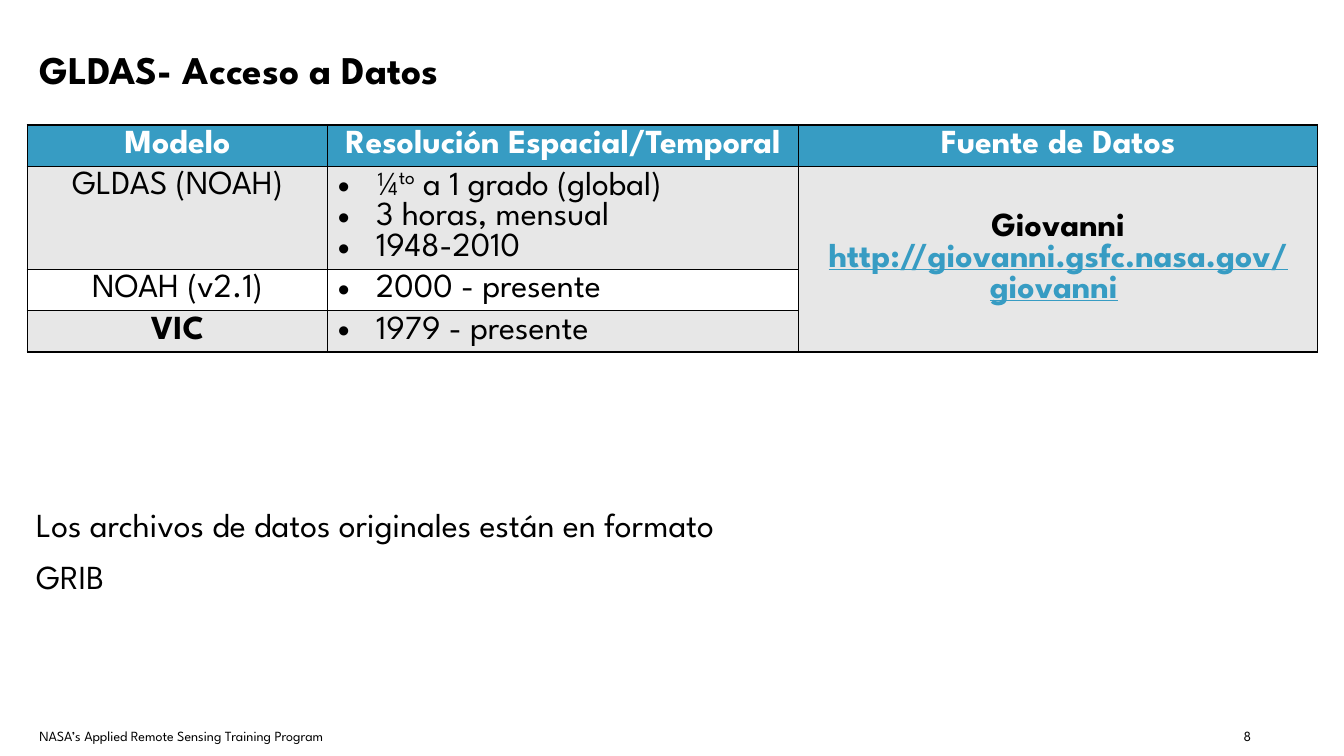
"""Build the GLDAS data access slide."""
from dataclasses import dataclass, field

from lxml import etree
from pptx import Presentation
from pptx.dml.color import RGBColor
from pptx.enum.text import MSO_ANCHOR, MSO_AUTO_SIZE, PP_ALIGN
from pptx.oxml.ns import qn
from pptx.util import Emu, Inches, Pt

CENTER, LEFT, RIGHT = PP_ALIGN.CENTER, PP_ALIGN.LEFT, PP_ALIGN.RIGHT
TOP, MIDDLE = MSO_ANCHOR.TOP, MSO_ANCHOR.MIDDLE
NO_AUTOFIT = MSO_AUTO_SIZE.NONE
WIDTH, HEIGHT = Inches(13.33), Inches(7.5)
FONT = "League Spartan"
BLACK, WHITE, BLUE, GRAY = "000000", "FFFFFF", "379CC3", "E7E7E7"
LOOSE = 1.3
INDENT = Inches(0.38)
WIDE_INSETS = (0.13, 0.07)
TABLE_LEFT, TABLE_TOP = 2.03, 16.53
COLUMN_SHARES = (22.36, 35.03, 38.63)
ROW_SHARES = (5.47, 13.6, 5.47, 5.47)


@dataclass
class Run:
    text: str
    color: str = BLACK
    bold: bool = False
    underline: bool = False
    raised: bool = False


@dataclass
class Entry:
    row: int
    column: int
    lines: list[list[Run]]
    align: PP_ALIGN = CENTER
    anchor: MSO_ANCHOR = TOP
    bullets: bool = False


@dataclass
class Label:
    text: str
    box: tuple[float, float, float, float]
    size: float = 10
    align: PP_ALIGN = LEFT
    insets: tuple[float, float] = field(default=WIDE_INSETS)


HEADERS = ("Modelo", "Resolución Espacial/Temporal", "Fuente de Datos")
ENTRIES = [
    *(Entry(0, column, [[Run(text, WHITE, True)]], anchor=MIDDLE)
      for column, text in enumerate(HEADERS)),
    Entry(1, 0, [[Run("GLDAS (NOAH)")]]),
    Entry(1, 1, [
        [Run("¼"), Run("to", raised=True), Run(" a 1 grado (global)")],
        [Run("3 horas, mensual")],
        [Run("1948-2010")],
    ], LEFT, bullets=True),
    Entry(1, 2, [
        [Run("Giovanni", bold=True)],
        [Run("http://giovanni.gsfc.nasa.gov/giovanni", BLUE, True, True), Run(" ", bold=True)],
    ], anchor=MIDDLE),
    Entry(2, 0, [[Run("NOAH (v2.1)")]]),
    Entry(2, 1, [[Run("2000 - presente")]], LEFT, bullets=True),
    Entry(3, 0, [[Run("VIC", bold=True)]]),
    Entry(3, 1, [[Run("1979 - presente")]], LEFT, bullets=True),
]
LABELS = [
    Label("NASA’s Applied Remote Sensing Training Program", (1.95, 94.67, 32.18, 4)),
    Label("8", (88.45, 94.67, 5.63, 4), align=RIGHT),
    Label("Los archivos de datos originales están en formato GRIB",
          (1.95, 64.4, 52.51, 12.13), 24, insets=(0.1, 0.05)),
]


def across(share: float) -> Emu:
    """Return a percentage of the slide width."""
    return Emu(round(WIDTH * share / 100))


def down(share: float) -> Emu:
    """Return a percentage of the slide height."""
    return Emu(round(HEIGHT * share / 100))


def rgb(color: str) -> RGBColor:
    """Turn a hex string into a colour."""
    return RGBColor.from_string(color)


def add_bullet(paragraph) -> None:
    """Give a paragraph a hanging round bullet."""
    properties = paragraph._p.get_or_add_pPr()
    properties.set("marL", str(INDENT))
    properties.set("indent", str(-INDENT))
    etree.SubElement(properties, qn("a:buFont")).set("typeface", "Arial")
    etree.SubElement(properties, qn("a:buChar")).set("char", "•")


def write_text(frame, lines: list[list[Run]], *, size: float = 24,
               align: PP_ALIGN = LEFT, bullets: bool = False,
               spacing: float | None = None) -> None:
    """Fill a text frame with formatted lines."""
    for index, runs in enumerate(lines):
        paragraph = frame.add_paragraph() if index else frame.paragraphs[0]
        if bullets:
            add_bullet(paragraph)
        paragraph.alignment = align
        if spacing:
            paragraph.line_spacing = spacing
        for item in runs:
            run = paragraph.add_run()
            run.text = item.text
            font = run.font
            font.name, font.size, font.bold = FONT, Pt(size), item.bold
            font.underline = item.underline
            font.color.rgb = rgb(item.color)
            if item.raised:
                font._element.set("baseline", "30000")


def set_insets(frame, horizontal: float, vertical: float) -> None:
    """Set wrapping and the inner margins of a text frame."""
    frame.word_wrap = True
    frame.auto_size = NO_AUTOFIT
    frame.margin_left = frame.margin_right = Inches(horizontal)
    frame.margin_top = frame.margin_bottom = Inches(vertical)


def add_title(slide, text: str) -> None:
    """Place and fill the title placeholder."""
    title = slide.shapes.title
    title.left, title.top = across(1.95), down(4)
    title.width, title.height = across(96.02), down(8.4)
    frame = title.text_frame
    set_insets(frame, *WIDE_INSETS)
    frame.vertical_anchor = MIDDLE
    write_text(frame, [[Run(text, bold=True)]], size=28, spacing=LOOSE)


def add_label(slide, label: Label) -> None:
    """Add one text box."""
    left, top, width, height = label.box
    box = slide.shapes.add_textbox(across(left), down(top), across(width), down(height))
    set_insets(box.text_frame, *label.insets)
    write_text(box.text_frame, [[Run(label.text)]], size=label.size,
               align=label.align, spacing=LOOSE)


def style_cell(cell, color: str) -> None:
    """Give a cell thin black borders and a fill."""
    properties = cell._tc.get_or_add_tcPr()
    for side in ("lnL", "lnR", "lnT", "lnB"):
        line = etree.SubElement(properties, qn(f"a:{side}"), w=str(Pt(1)))
        fill = etree.SubElement(line, qn("a:solidFill"))
        etree.SubElement(fill, qn("a:srgbClr"), val=BLACK)
    cell.fill.solid()
    cell.fill.fore_color.rgb = rgb(color)
    cell.margin_left = cell.margin_right = Inches(0.1)
    cell.margin_top = cell.margin_bottom = Inches(0.05)


def add_model_table(slide) -> None:
    """Add the table of models, resolutions and data source."""
    table = slide.shapes.add_table(
        len(ROW_SHARES), len(COLUMN_SHARES), across(TABLE_LEFT), down(TABLE_TOP),
        across(sum(COLUMN_SHARES)), down(sum(ROW_SHARES))).table
    for column, share in zip(table.columns, COLUMN_SHARES):
        column.width = across(share)
    for row, share, color in zip(table.rows, ROW_SHARES, (BLUE, GRAY, WHITE, GRAY)):
        row.height = down(share)
        for cell in row.cells:
            style_cell(cell, color)
    table.cell(1, 2).merge(table.cell(3, 2))
    for entry in ENTRIES:
        cell = table.cell(entry.row, entry.column)
        cell.vertical_anchor = entry.anchor
        write_text(cell.text_frame, entry.lines, align=entry.align, bullets=entry.bullets)


def main() -> None:
    """Build and save the presentation."""
    presentation = Presentation()
    presentation.slide_width, presentation.slide_height = WIDTH, HEIGHT
    slide = presentation.slides.add_slide(presentation.slide_layouts.get_by_name("Title Only"))
    add_title(slide, "GLDAS- Acceso a Datos")
    add_model_table(slide)
    for label in LABELS:
        add_label(slide, label)
    presentation.save("out.pptx")


if __name__ == "__main__":
    main()
